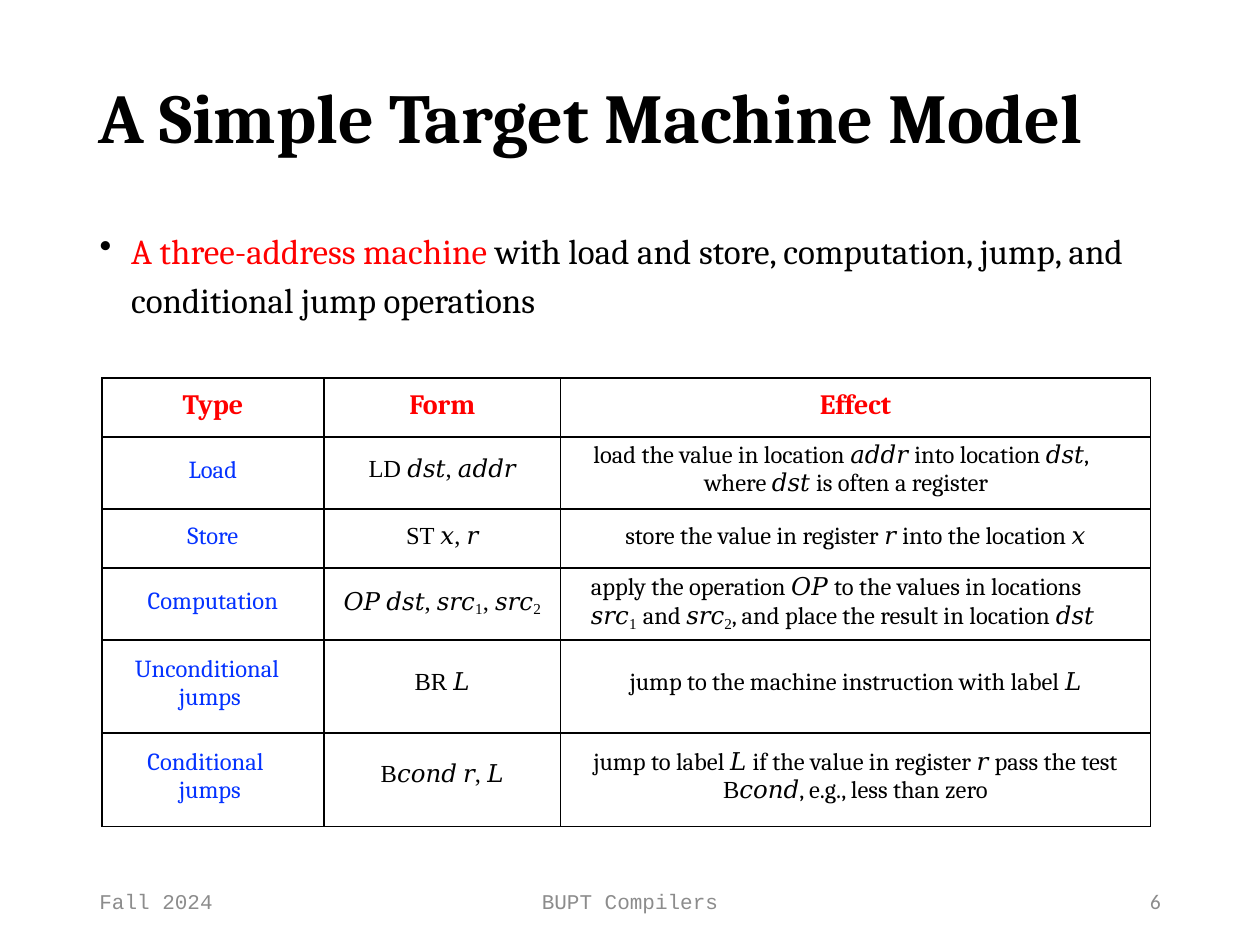
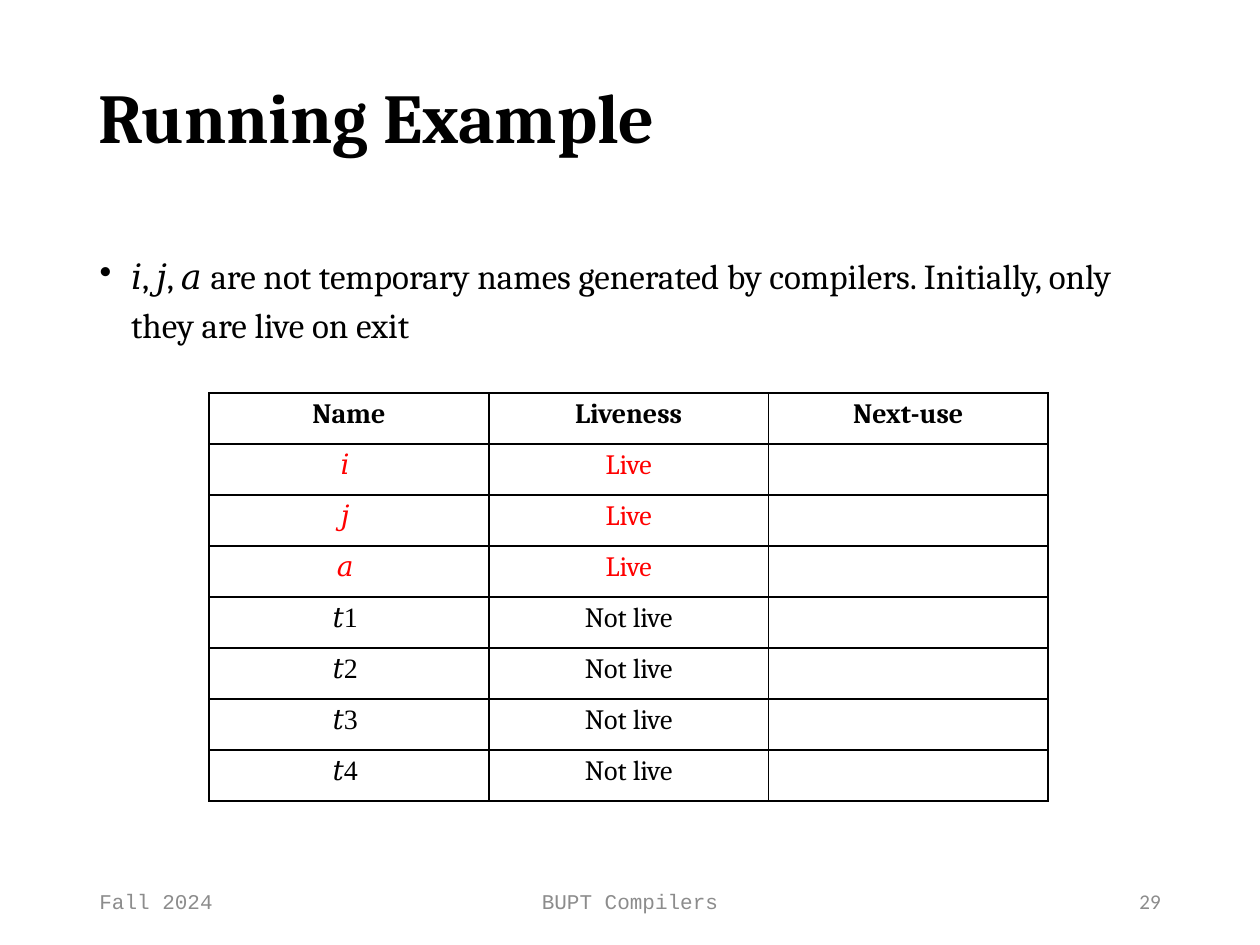
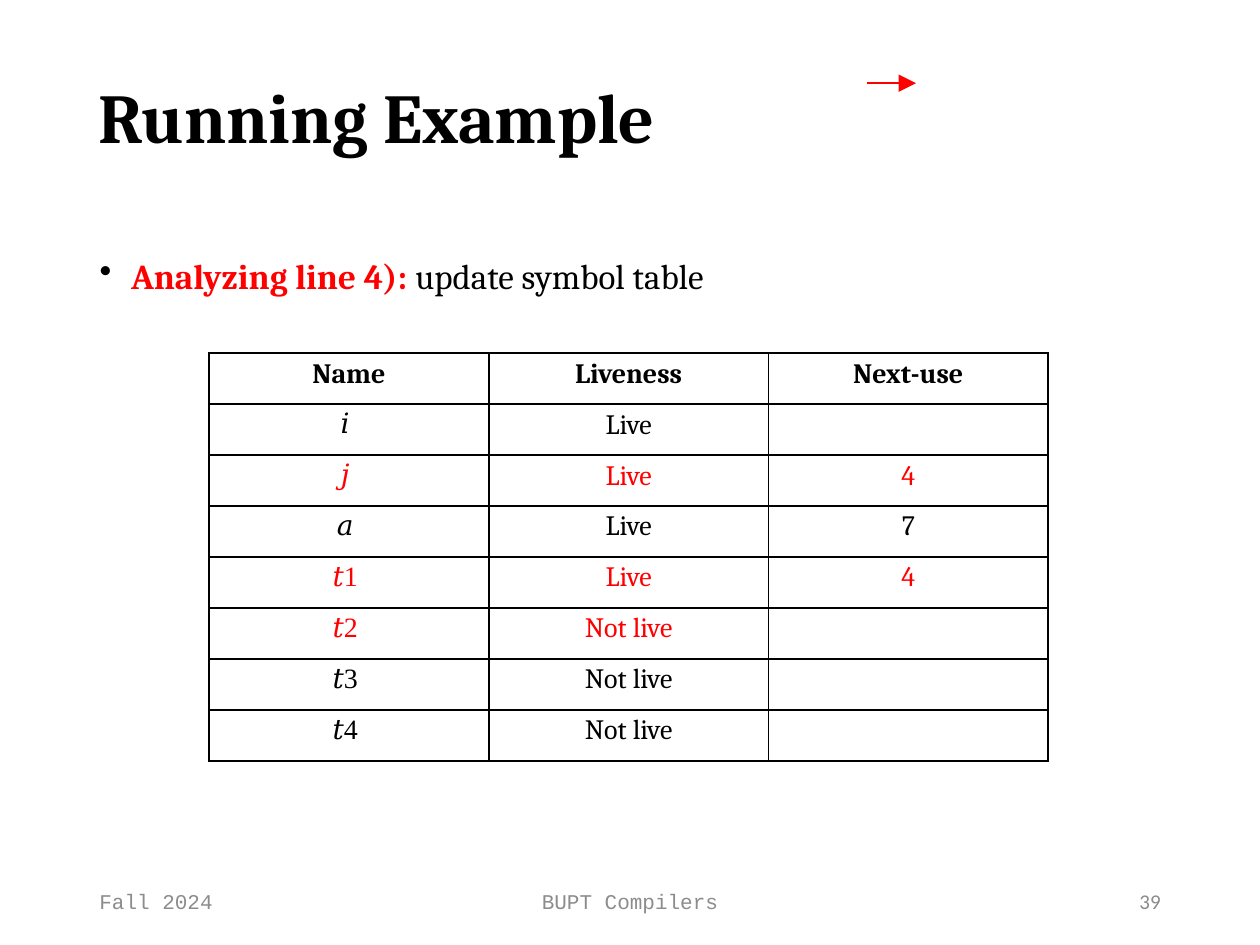
from dataclasses import dataclass

from lxml.etree import SubElement
from pptx import Presentation
from pptx.dml.color import RGBColor
from pptx.enum.shapes import MSO_CONNECTOR
from pptx.enum.text import MSO_ANCHOR, PP_ALIGN
from pptx.oxml.ns import qn
from pptx.util import Inches, Pt

BLACK = RGBColor(0x00, 0x00, 0x00)
RED = RGBColor(0xFF, 0x00, 0x00)
BLUE = RGBColor(0x04, 0x32, 0xFF)
GREY = RGBColor(0x8C, 0x8C, 0x8C)

BODY_FONT = "Cambria"
MATH_FONT = "Times New Roman"
FOOTER_FONT = "Courier New"
NUMBER_FONT = "Calibri"

TITLE_BOX = (0.77, 0.57, 8.45, 0.69)
FOOTER_TOP, FOOTER_HEIGHT = 6.95, 0.4


@dataclass
class Cell:
    text: str = ""
    top: float = 0.04
    left: float = 0
    indent: float = 0
    right: float = 0
    color: RGBColor = BLACK
    size: int = 14
    bold: bool = False


INSTRUCTION_COLUMNS = (1.76, 1.88, 4.68)
INSTRUCTION_HEIGHTS = (0.47, 0.57, 0.47, 0.57, 0.74, 0.74)
INSTRUCTIONS = [
    [Cell(heading, 0.09, color=RED, size=16, bold=True)
     for heading in ("Type", "Form", "Effect")],
    [Cell("Load", 0.15, color=BLUE),
     Cell("|LD 𝑑𝑠𝑡, 𝑎𝑑𝑑𝑟", 0.15),
     Cell("load the value in location |𝑎𝑑𝑑𝑟 |into location |𝑑𝑠𝑡|, "
          "where |𝑑𝑠𝑡 |is often a register", 0.03, 1.14, -0.88, 0.25)],
    [Cell("Store", 0.11, color=BLUE),
     Cell("|ST 𝑥, 𝑟", 0.11),
     Cell("store the value in register |𝑟 |into the location |𝑥", 0.11)],
    [Cell("Computation", 0.15, color=BLUE),
     Cell("|𝑂𝑃 𝑑𝑠𝑡, 𝑠𝑟𝑐_1, 𝑠𝑟𝑐_2", 0.15),
     Cell("apply the operation |𝑂𝑃 |to the values in locations\n"
          "|𝑠𝑟𝑐_1 |and |𝑠𝑟𝑐_2|, and place the result in location |𝑑𝑠𝑡",
          0.04, 0.24)],
    [Cell("Unconditional jumps", 0.12, 0.61, -0.35, color=BLUE),
     Cell("|BR 𝐿", 0.23),
     Cell("jump to the machine instruction with label |𝐿", 0.23)],
    [Cell("Conditional jumps", 0.12, 0.61, -0.25, color=BLUE),
     Cell("|B𝑐𝑜𝑛𝑑 𝑟, 𝐿", 0.22),
     Cell("jump to label |𝐿 |if the value in register |𝑟 |pass the test\n"
          "|B𝑐𝑜𝑛𝑑|, e.g., less than zero", 0.12)],
]

SYMBOL_COLUMNS = (2.22, 2.22, 2.22)
INITIAL_SYMBOLS = [
    ("𝑖", "Live", ""), ("𝑗", "Live", ""), ("𝑎", "Live", ""),
    ("𝑡1", "Not live", ""), ("𝑡2", "Not live", ""),
    ("𝑡3", "Not live", ""), ("𝑡4", "Not live", ""),
]
UPDATED_SYMBOLS = [
    ("𝑖", "Live", ""), ("𝑗", "Live", "4"), ("𝑎", "Live", "7"),
    ("𝑡1", "Live", "4"), ("𝑡2", "Not live", ""),
    ("𝑡3", "Not live", ""), ("𝑡4", "Not live", ""),
]


def style_font(font, name=None, size=None, color=None, bold=None):
    if name:
        font.name = name
    if size:
        font.size = Pt(size)
    if color is not None:
        font.color.rgb = color
    if bold is not None:
        font.bold = bold


def add_span(para, text, **style):
    if text:
        span = para.add_run()
        span.text = text
        style_font(span.font, **style)
        return span


def add_spans(para, text, **style):
    """Bars switch to the maths font and back; an underscore lowers one digit."""
    for number, piece in enumerate(text.split("|")):
        if number % 2 == 0:
            add_span(para, piece, **style)
            continue
        plain, *lowered = piece.split("_")
        add_span(para, plain, name=MATH_FONT, **style)
        for part in lowered:
            digit = add_span(para, part[0], name=MATH_FONT, size=15)
            digit.font._element.set("baseline", "-17000")
            add_span(para, part[1:], name=MATH_FONT, **style)


def set_indent(para, left, indent):
    properties = para._p.get_or_add_pPr()
    properties.set("marL", str(Inches(left)))
    properties.set("indent", str(Inches(indent)))
    return properties


def add_text_box(page, place, margins=None, anchor=MSO_ANCHOR.TOP):
    box = page.shapes.add_textbox(*map(Inches, place))
    frame = box.text_frame
    frame.word_wrap = True
    frame.vertical_anchor = anchor
    if margins:
        (frame.margin_left, frame.margin_top,
         frame.margin_right, frame.margin_bottom) = map(Inches, margins)
    return frame.paragraphs[0]


def add_title(page, title):
    para = add_text_box(page, TITLE_BOX, (0.01, 0.01, 0, 0))
    style_font(para.font, BODY_FONT, 40, BLACK, True)
    add_span(para, title)


def add_footer(page, number):
    for text, left, width, align, name in (
            ("Fall 2024", 0.69, 2.25, PP_ALIGN.LEFT, FOOTER_FONT),
            ("BUPT Compilers", 3.31, 3.38, PP_ALIGN.CENTER, FOOTER_FONT),
            (str(number), 7.06, 2.25, PP_ALIGN.RIGHT, NUMBER_FONT)):
        place = (left, FOOTER_TOP, width, FOOTER_HEIGHT)
        para = add_text_box(page, place, anchor=MSO_ANCHOR.MIDDLE)
        para.alignment = align
        style_font(para.font, name, 12, GREY)
        add_span(para, text)


def add_bullet(page, place, lead, rest, lead_bold=False, spacing=1.16):
    para = add_text_box(page, place, (0, 0.01, 0, 0))
    para.line_spacing = spacing
    properties = set_indent(para, 0.27, -0.25)
    bullet_color = SubElement(properties, qn("a:buClr"))
    SubElement(bullet_color, qn("a:srgbClr"), val=str(BLACK))
    SubElement(properties, qn("a:buChar"), char="•")
    style_font(para.font, BODY_FONT, 20)
    add_spans(para, lead, color=RED, bold=lead_bold)
    add_spans(para, rest, color=BLACK)


def draw_borders(cell):
    properties = cell._tc.get_or_add_tcPr()
    for side in ("a:lnL", "a:lnR", "a:lnT", "a:lnB"):
        border = SubElement(properties, qn(side), w=str(Pt(1)))
        fill = SubElement(border, qn("a:solidFill"))
        SubElement(fill, qn("a:srgbClr"), val=str(BLACK))


def fill_cell(target, cell):
    draw_borders(target)
    target.fill.background()
    target.margin_left = target.margin_bottom = 0
    target.margin_top = Inches(cell.top)
    target.margin_right = Inches(cell.right)
    frame = target.text_frame
    for number, line in enumerate(cell.text.split("\n")):
        para = frame.add_paragraph() if number else frame.paragraphs[0]
        if cell.left:
            set_indent(para, cell.left, cell.indent)
        else:
            para.alignment = PP_ALIGN.CENTER
        style_font(para.font, BODY_FONT, cell.size, cell.color, cell.bold)
        add_spans(para, line)


def add_grid(page, left, top, widths, heights, rows):
    place = map(Inches, (left, top, sum(widths), sum(heights)))
    table = page.shapes.add_table(len(rows), len(widths), *place).table
    table.first_row = table.horz_banding = False
    for column, width in zip(table.columns, widths):
        column.width = Inches(width)
    for row, height, cells in zip(table.rows, heights, rows):
        row.height = Inches(height)
        for target, cell in zip(row.cells, cells):
            fill_cell(target, cell)


def add_symbol_table(page, top, symbols, changed):
    rows = [[Cell(heading, size=16, bold=True)
             for heading in ("Name", "Liveness", "Next-use")]]
    for name, liveness, next_use in symbols:
        color = RED if name in changed else BLACK
        rows.append([Cell("|" + name, right=0.06, color=color, size=16),
                     Cell(liveness, color=color, size=16),
                     Cell(next_use, color=color, size=16)])
    heights = [3.24 / len(rows)] * len(rows)
    add_grid(page, 1.66, top, SYMBOL_COLUMNS, heights, rows)


def add_arrow(page, left, top, length):
    arrow = page.shapes.add_connector(
        MSO_CONNECTOR.STRAIGHT,
        *map(Inches, (left, top, left + length, top)))
    arrow.line.color.rgb = RED
    arrow.line.width = Pt(1.25)
    properties = arrow._element.spPr
    SubElement(properties.find(qn("a:ln")), qn("a:tailEnd"),
               type="triangle", w="lg", len="lg")
    SubElement(properties, qn("a:effectLst"))


def add_page(deck, title, number):
    page = deck.slides.add_slide(deck.slide_layouts[6])
    add_footer(page, number)
    add_title(page, title)
    return page


def build_machine_model(deck):
    page = add_page(deck, "A Simple Target Machine Model", 6)
    add_bullet(page, (0.77, 1.76, 8.35, 0.8), "A three-address machine ",
               "with load and store, computation, jump, and conditional "
               "jump operations")
    add_grid(page, 0.81, 3, INSTRUCTION_COLUMNS, INSTRUCTION_HEIGHTS,
             INSTRUCTIONS)


def build_initial_symbols(deck):
    page = add_page(deck, "Running Example", 29)
    add_bullet(page, (0.77, 1.96, 8.18, 0.8), "",
               "|𝑖|, |𝑗|, |𝑎 |are not temporary names generated by compilers. "
               "Initially, only they are live on exit")
    add_symbol_table(page, 3.12, INITIAL_SYMBOLS, ("𝑖", "𝑗", "𝑎"))


def build_updated_symbols(deck):
    page = add_page(deck, "Running Example", 39)
    add_bullet(page, (0.77, 2.01, 5.12, 0.36), "Analyzing line 4): ",
               "update symbol table", lead_bold=True, spacing=1.0)
    add_symbol_table(page, 2.8, UPDATED_SYMBOLS, ("𝑗", "𝑡1", "𝑡2"))
    add_arrow(page, 6.88, 0.66, 0.39)


def main():
    deck = Presentation()
    deck.slide_width, deck.slide_height = Inches(10), Inches(7.5)
    build_machine_model(deck)
    build_initial_symbols(deck)
    build_updated_symbols(deck)
    deck.save("out.pptx")


if __name__ == "__main__":
    main()
